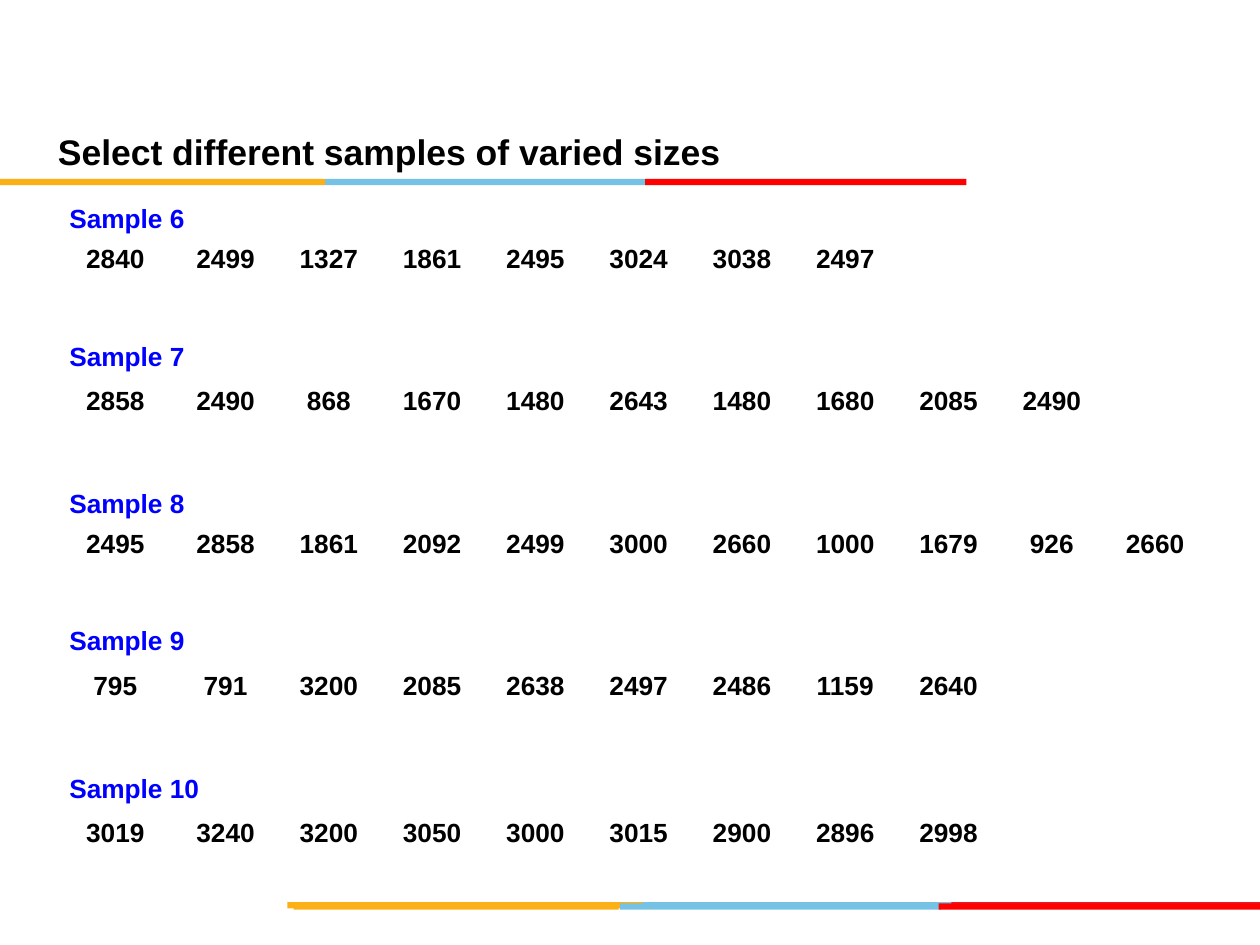
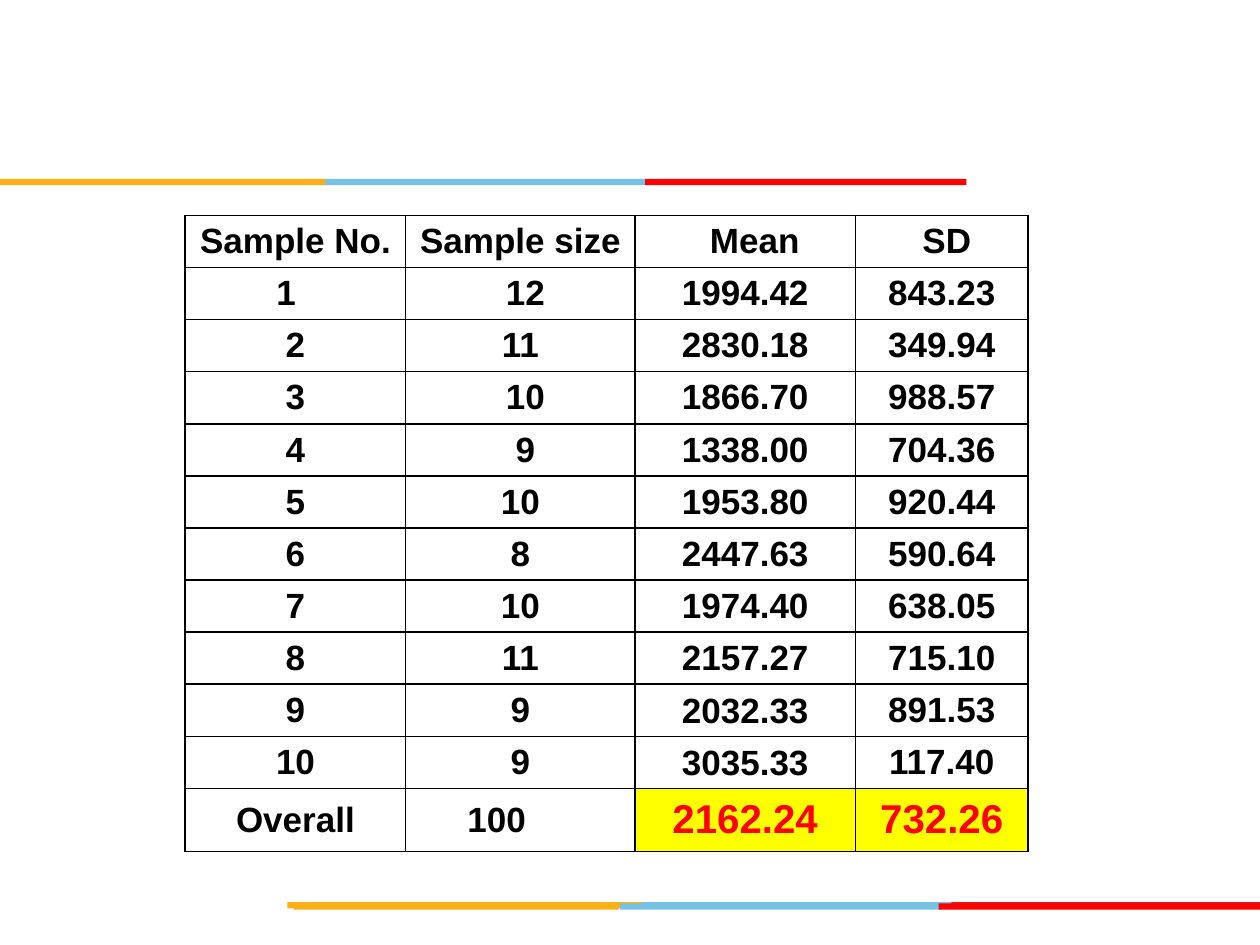
from lxml.etree import SubElement
from pptx import Presentation
from pptx.dml.color import RGBColor
from pptx.enum.shapes import MSO_SHAPE
from pptx.enum.text import MSO_ANCHOR, PP_ALIGN
from pptx.oxml.ns import qn
from pptx.util import Inches, Pt

FONT = "Arial"
COLORS = {
    "black": "000000",
    "blue": "0000FF",
    "red": "FF0000",
    "crimson": "E31C24",
    "sky": "76C2E5",
    "amber": "FCB017",
    "yellow": "FFFF00",
}
BANDS = [
    (7.16, [(5.06, 2.55, "sky"), (7.55, 2.45, "crimson"), (2.28, 2.82, "amber")]),
    (7.17, [(4.92, 2.55, "sky"), (2.33, 2.58, "amber"), (7.45, 2.55, "red")]),
    (1.42, [(2.58, 2.55, "sky"), (0, 2.58, "amber"), (5.12, 2.55, "red")]),
]
ROOMY = (0.1, 0.04, 0.1, 0.04)
TIGHT = (0.01, 0.01, 0.01, 0)
EMPTY = (0, 0, 0, 0)

SAMPLES = {
    "Sample 6": "2840 2499 1327 1861 2495 3024 3038 2497",
    "Sample 7": "2858 2490 868 1670 1480 2643 1480 1680 2085 2490",
    "Sample 8": "2495 2858 1861 2092 2499 3000 2660 1000 1679 926 2660",
    "Sample 9": "795 791 3200 2085 2638 2497 2486 1159 2640",
    "Sample 10": "3019 3240 3200 3050 3000 3015 2900 2896 2998",
}
SAMPLE_COLUMNS = [0.93] + [0.82] * 10
SHORT_SAMPLE_ROWS = (1, 7)

SUMMARY = [
    ("Sample No.", "Sample size", "Mean", "SD"),
    ("1", "12", "1994.42", "843.23"),
    ("2", "11", "2830.18", "349.94"),
    ("3", "10", "1866.70", "988.57"),
    ("4", "9", "1338.00", "704.36"),
    ("5", "10", "1953.80", "920.44"),
    ("6", "8", "2447.63", "590.64"),
    ("7", "10", "1974.40", "638.05"),
    ("8", "11", "2157.27", "715.10"),
    ("9", "9", "2032.33", "891.53"),
    ("10", "9", "3035.33", "117.40"),
    ("Overall", "100", "2162.24", "732.26"),
]
SUMMARY_COLUMNS = [1.75, 1.82, 1.75, 1.37]
SUMMARY_INSETS = {
    (0, 2): (0.25, 0.04, 0.1, 0.04),
    (0, 3): (0.18, 0.04, 0.1, 0.04),
    (1, 0): (0.1, 0.04, 0.25, 0.04),
    (1, 1): (0.18, 0.04, 0.1, 0.04),
    (3, 1): (0.18, 0.04, 0.1, 0.04),
    (4, 1): (0.18, 0.04, 0.1, 0.04),
    (11, 1): (0.49, 0.04, 0.1, 0.04),
}


def color(name):
    return RGBColor.from_string(COLORS[name])


def write(frame, text, size=15, ink="black", align=PP_ALIGN.CENTER, spacing=None):
    para = frame.paragraphs[0]
    para.alignment = align
    if spacing:
        para.line_spacing = spacing
    span = para.add_run()
    span.text = text
    span.font.name = FONT
    span.font.size = Pt(size)
    span.font.bold = True
    span.font.color.rgb = color(ink)


def set_insets(target, insets):
    sides = ("margin_left", "margin_top", "margin_right", "margin_bottom")
    for side, inset in zip(sides, insets):
        setattr(target, side, Inches(inset))


def add_bands(page):
    for top, segments in BANDS:
        for left, width, fill in segments:
            band = page.shapes.add_shape(
                MSO_SHAPE.RECTANGLE, Inches(left), Inches(top), Inches(width), Inches(0.05))
            band.shadow.inherit = False
            band.fill.solid()
            band.fill.fore_color.rgb = color(fill)
            band.line.fill.background()


def add_page(deck):
    page = deck.slides.add_slide(deck.slide_layouts[6])
    add_bands(page)
    return page


def add_title(page, text):
    box = page.shapes.add_textbox(Inches(0.4), Inches(1.01), Inches(9), Inches(0.43))
    frame = box.text_frame
    frame.word_wrap = True
    frame.vertical_anchor = MSO_ANCHOR.MIDDLE
    set_insets(frame, (0.06, 0.03, 0.06, 0.03))
    write(frame, text, size=20.3, align=PP_ALIGN.LEFT, spacing=0.9)


def add_grid(page, left, top, widths, heights):
    holder = page.shapes.add_table(
        len(heights), len(widths), Inches(left), Inches(top),
        Inches(sum(widths)), Inches(sum(heights)))
    table = holder.table
    table.first_row = False
    table.horz_banding = False
    for column, width in zip(table.columns, widths):
        column.width = Inches(width)
    for row, height in zip(table.rows, heights):
        row.height = Inches(height)
    for cell in table.iter_cells():
        set_insets(cell, EMPTY)
        cell.fill.background()
    return table


def fill_cell(cell, text, insets=ROOMY, anchor=MSO_ANCHOR.MIDDLE, **style):
    set_insets(cell, insets)
    cell.vertical_anchor = anchor
    write(cell.text_frame, text, **style)


def add_borders(cell):
    properties = cell._tc.get_or_add_tcPr()
    for index, side in enumerate(("a:lnL", "a:lnR", "a:lnT", "a:lnB")):
        line = SubElement(properties, qn(side), w=str(Pt(1)))
        paint = SubElement(line, qn("a:solidFill"))
        SubElement(paint, qn("a:srgbClr"), val=COLORS["black"])
        properties.insert(index, line)


def add_samples(page):
    row_count = 3 * len(SAMPLES) - 1
    heights = [0.31 if row in SHORT_SAMPLE_ROWS else 0.39 for row in range(row_count)]
    table = add_grid(page, 0.45, 1.51, SAMPLE_COLUMNS, heights)
    for index, (label, values) in enumerate(SAMPLES.items()):
        row = 3 * index
        heading = table.cell(row, 0)
        heading.merge(table.cell(row, 1))
        fill_cell(heading, label, anchor=MSO_ANCHOR.BOTTOM, ink="blue", align=PP_ALIGN.LEFT)
        for column, value in enumerate(values.split()):
            fill_cell(table.cell(row + 1, column), value, insets=TIGHT)


def add_summary(page):
    last = len(SUMMARY) - 1
    table = add_grid(page, 1.47, 1.71, SUMMARY_COLUMNS, [0.41] * last + [0.5])
    for row, values in enumerate(SUMMARY):
        for column, value in enumerate(values):
            cell = table.cell(row, column)
            add_borders(cell)
            style = {"size": 20}
            if row == last and column >= 2:
                style = {"size": 23, "ink": "red"}
                cell.fill.solid()
                cell.fill.fore_color.rgb = color("yellow")
            elif row == last and column == 1:
                style["align"] = PP_ALIGN.LEFT
            insets = TIGHT if 6 <= row < last and column == 2 else ROOMY
            fill_cell(cell, value, insets=SUMMARY_INSETS.get((row, column), insets), **style)


def main():
    deck = Presentation()
    deck.slide_width = Inches(10)
    deck.slide_height = Inches(7.5)

    samples_page = add_page(deck)
    add_samples(samples_page)
    add_title(samples_page, "Select different samples of varied sizes")

    add_summary(add_page(deck))
    deck.save("out.pptx")


if __name__ == "__main__":
    main()
